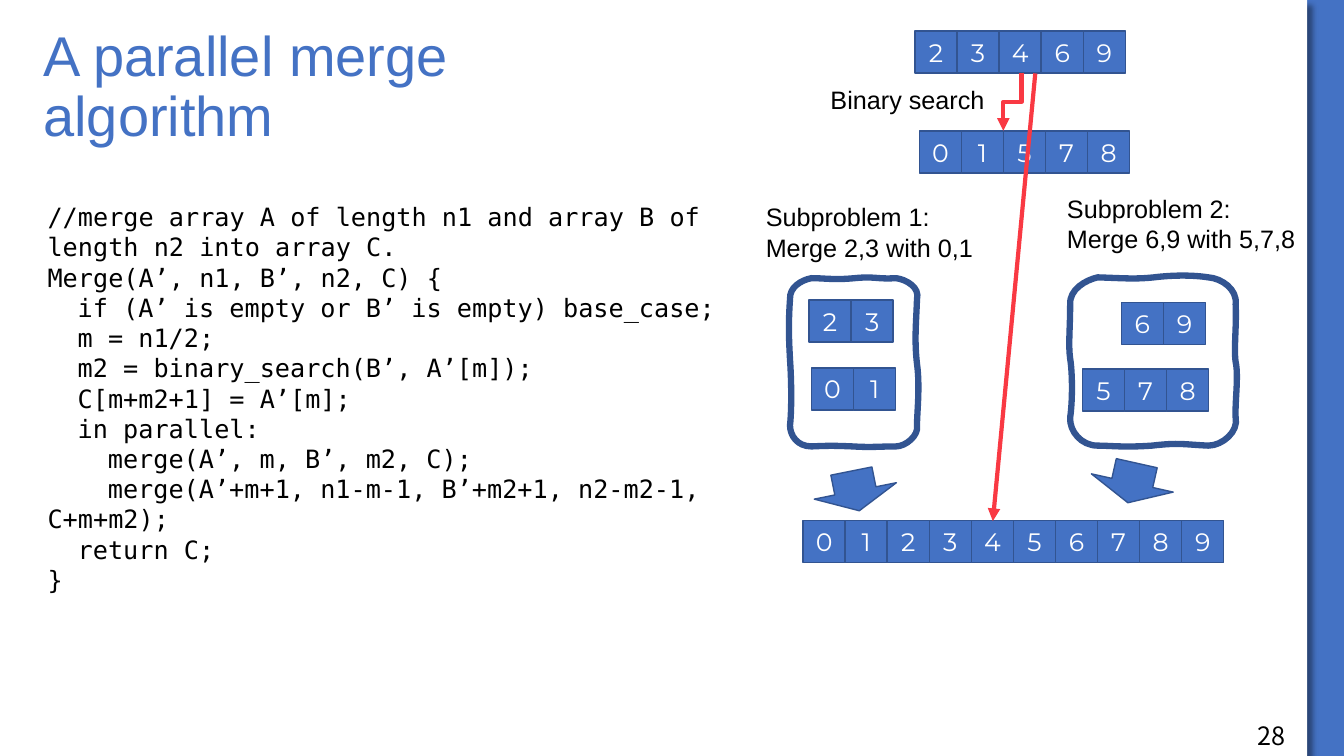
from lxml.etree import SubElement
from pptx import Presentation
from pptx.dml.color import RGBColor
from pptx.enum.shapes import MSO_CONNECTOR, MSO_SHAPE
from pptx.enum.text import MSO_ANCHOR, MSO_AUTO_SIZE, PP_ALIGN
from pptx.oxml.ns import qn
from pptx.util import Cm, Pt

BLUE, NAVY, RED, WHITE, BLACK = "4472C4", "325491", "F93943", "FFFFFF", "000000"
TITLE = "A parallel merge algorithm"
CODE = [
    (0, "//merge array A of length n1 and array B of length n2 into array C."),
    (0, "Merge(A’, n1, B’, n2, C) {"),
    (1, "if (A’ is empty or B’ is empty) base_case;"),
    (1, "m = n1/2;"),
    (1, "m2 = binary_search(B’, A’[m]);"),
    (1, "C[m+m2+1] = A’[m];"),
    (1, "in parallel:"),
    (2, "merge(A’, m, B’, m2, C);"),
    (2, "merge(A’+m+1, n1-m-1, B’+m2+1, n2-m2-1, C+m+m2);"),
    (1, "return C;"),
    (0, "}"),
]
LABELS = [
    (20.68, 2.01, 4.57, 1.02, ["Binary search"]),
    (19.05, 4.96, 5.79, 1.8, ["Subproblem 1:", "Merge 2,3 with 0,1"]),
    (26.64, 4.74, 6.32, 1.8, ["Subproblem 2:", "Merge 6,9 with 5,7,8"]),
]
INPUT_ARRAYS = [(23.06, 0.78, "23469"), (23.17, 3.3, "01578")]
RESULT_ARRAY = (20.24, 13.12, "0123456789")
CELL = 1.06
INDENT = 0.76
SUBPROBLEMS = [
    ([(20.39, 7.56, "23"), (20.45, 9.27, "01")], (19.91, 7.54), [
        ((19.89, 7.24), (20.19, 7.06), (20.45, 7.01)),
        ((20.78, 7.01), (21.03, 7.06), (21.54, 7.01)),
        ((22.05, 6.96), (22.1, 7.04), (22.58, 7.01)),
        ((22.83, 7.04), (23.19, 7.24), (23.11, 7.54)),
        ((23.09, 8.13), (23.04, 8.56), (23.11, 9.17)),
        ((23.19, 9.75), (23.11, 10.39), (23.11, 10.72)),
        ((23.16, 10.97), (22.83, 11.25), (22.58, 11.25)),
        ((22.15, 11.25), (22, 11.28), (21.49, 11.25)),
        ((21.01, 11.23), (20.88, 11.23), (20.45, 11.25)),
        ((20.09, 11.25), (19.91, 10.97), (19.91, 10.72)),
        ((19.96, 10.26), (19.94, 9.47), (19.91, 9.07)),
        ((19.89, 8.66), (19.86, 8.23), (19.91, 7.54)),
    ]),
    ([(28.26, 7.62, "69"), (27.28, 9.3, "578")], (26.97, 7.67), [
        ((26.95, 7.29), (27.36, 7.06), (27.66, 6.99)),
        ((28.3, 7.01), (28.6, 7.04), (29.08, 6.99)),
        ((29.57, 6.93), (30.07, 6.93), (30.45, 6.99)),
        ((30.78, 7.01), (31.19, 7.29), (31.14, 7.67)),
        ((31.17, 8.15), (31.09, 8.79), (31.14, 9.12)),
        ((31.22, 9.47), (31.12, 10.13), (31.14, 10.52)),
        ((31.22, 10.87), (30.81, 11.23), (30.45, 11.23)),
        ((29.79, 11.2), (29.74, 11.15), (29.03, 11.23)),
        ((28.32, 11.28), (27.99, 11.23), (27.66, 11.23)),
        ((27.25, 11.23), (26.95, 10.87), (26.97, 10.52)),
        ((27.03, 10.13), (27.03, 9.4), (26.97, 9.04)),
        ((26.92, 8.69), (26.97, 8.28), (26.97, 7.67)),
    ]),
]
BLOCK_ARROWS = [(20.5, 11.86, 168.7), (27.48, 11.66, 192.6)]
CONNECTORS = [
    (MSO_CONNECTOR.ELBOW, (24.79, 2.34), (26.24, 2.8), 90),
    (MSO_CONNECTOR.STRAIGHT, (26.09, 1.85), (25.02, 13.13), 0),
]


def color(value):
    return RGBColor.from_string(value)


def lengths(*values):
    return [Cm(value) for value in values]


def add_span(para, text, font, size, shade):
    span = para.add_run()
    span.text = text
    span.font.name = font
    span.font.size = Pt(size)
    span.font.color.rgb = color(shade)


def add_text(page, place, lines, font, wrap=True):
    box = page.shapes.add_textbox(*lengths(*place))
    frame = box.text_frame
    frame.word_wrap = wrap
    frame.auto_size = MSO_AUTO_SIZE.SHAPE_TO_FIT_TEXT
    for number, (level, line) in enumerate(lines):
        para = frame.add_paragraph() if number else frame.paragraphs[0]
        if level:
            properties = para._p.get_or_add_pPr()
            properties.set("marL", "0")
            properties.set("indent", str(Cm(INDENT * level)))
        add_span(para, line, font, 18, BLACK)


def paint(shape, fill, line=None, width=1):
    shape.shadow.inherit = False
    if fill:
        shape.fill.solid()
        shape.fill.fore_color.rgb = color(fill)
    else:
        shape.fill.background()
    if line:
        shape.line.color.rgb = color(line)
        shape.line.width = Pt(width)
    else:
        shape.line.fill.background()


def add_panel(page):
    panel = page.shapes.add_shape(MSO_SHAPE.RECTANGLE, *lengths(0, 0, 32.94, 19.05))
    paint(panel, WHITE)
    effects = panel._element.spPr.find(qn("a:effectLst"))
    shadow = SubElement(effects, qn("a:outerShdw"), blurRad=str(Pt(4)),
                        dist=str(Pt(6)), dir="2700000", algn="tl", rotWithShape="0")
    shade = SubElement(shadow, qn("a:srgbClr"), val=BLACK)
    SubElement(shade, qn("a:alpha"), val="40000")
    page.shapes._spTree.insert(2, panel._element)


def add_title(page):
    title = page.shapes.title
    title.left, title.top, title.width, title.height = lengths(0.84, 1.27, 16.75, 1.91)
    frame = title.text_frame
    frame.auto_size = MSO_AUTO_SIZE.NONE
    frame.word_wrap = True
    frame.vertical_anchor = MSO_ANCHOR.MIDDLE
    para = frame.paragraphs[0]
    para.alignment = PP_ALIGN.LEFT
    para.line_spacing = 0.9
    add_span(para, TITLE, "Arial", 40, BLUE)


def add_array(shapes, left, top, digits):
    for column, digit in enumerate(digits):
        place = lengths(left + column * CELL, top, CELL, CELL)
        cell = shapes.add_shape(MSO_SHAPE.RECTANGLE, *place)
        paint(cell, BLUE, NAVY)
        cell.text_frame.vertical_anchor = MSO_ANCHOR.MIDDLE
        para = cell.text_frame.paragraphs[0]
        para.alignment = PP_ALIGN.CENTER
        add_span(para, digit, "Montserrat", 18, WHITE)


def add_frame(shapes, start, curves):
    builder = shapes.build_freeform(*lengths(*start))
    builder.add_line_segments([lengths(*curve[-1]) for curve in curves], close=True)
    frame = builder.convert_to_shape()
    paint(frame, None, NAVY, 4.5)
    segments = list(frame._element.iter(qn("a:lnTo")))
    for segment, curve in zip(segments, curves):
        segment.tag = qn("a:cubicBezTo")
        segment.clear()
        for across, down in curve:
            SubElement(segment, qn("a:pt"), x=str(Cm(across) - frame.left),
                       y=str(Cm(down) - frame.top))


def add_arrow(page, kind, start, end, rotation):
    arrow = page.shapes.add_connector(kind, *lengths(*start, *end))
    arrow.line.color.rgb = color(RED)
    arrow.line.width = Pt(3)
    properties = arrow._element.spPr
    if rotation:
        properties.find(qn("a:xfrm")).set("rot", str(rotation * 60000))
    SubElement(arrow.line._get_or_add_ln(), qn("a:tailEnd"), type="triangle")
    SubElement(properties, qn("a:effectLst"))


def main():
    deck = Presentation()
    deck.slide_width, deck.slide_height = lengths(33.87, 19.05)
    page = deck.slides.add_slide(deck.slide_layouts[5])
    page.background.fill.solid()
    page.background.fill.fore_color.rgb = color(BLUE)
    add_panel(page)
    add_title(page)
    add_text(page, (31.43, 18.03, 2.18, 1.02), [(0, "28")], "Noto Sans CJK SC")
    for array in INPUT_ARRAYS:
        add_array(page.shapes, *array)
    add_array(page.shapes.add_group_shape().shapes, *RESULT_ARRAY)
    for arrays, start, curves in SUBPROBLEMS:
        group = page.shapes.add_group_shape()
        for array in arrays:
            add_array(group.shapes, *array)
        add_frame(group.shapes, start, curves)
    for left, top, rotation in BLOCK_ARROWS:
        block = page.shapes.add_shape(MSO_SHAPE.UP_ARROW, *lengths(left, top, 2.11, 1.02))
        block.rotation = rotation
        paint(block, BLUE, NAVY)
    for *place, lines in LABELS:
        add_text(page, place, [(0, line) for line in lines], "Arial", wrap=False)
    for connector in CONNECTORS:
        add_arrow(page, *connector)
    add_text(page, (0.95, 4.95, 18.82, 9.5), CODE, "DejaVu Sans Mono")
    deck.save("out.pptx")


if __name__ == "__main__":
    main()
